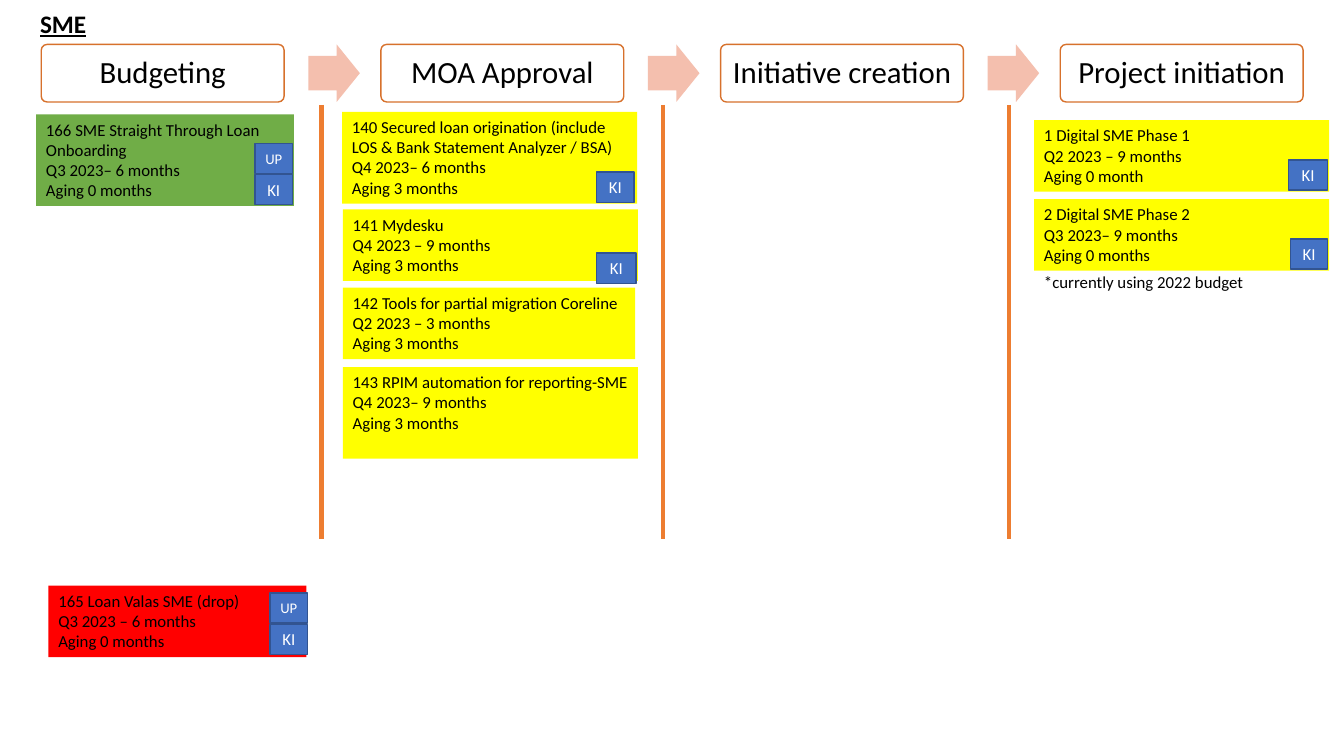
from dataclasses import dataclass
from lxml import etree
from pptx import Presentation
from pptx.dml.color import RGBColor
from pptx.enum.shapes import MSO_CONNECTOR, MSO_SHAPE
from pptx.enum.text import MSO_ANCHOR, MSO_AUTO_SIZE, PP_ALIGN
from pptx.oxml.ns import qn
from pptx.util import Cm, Pt

RECT = MSO_SHAPE.RECTANGLE
ROUND = MSO_SHAPE.ROUNDED_RECTANGLE
ARROW = MSO_SHAPE.RIGHT_ARROW
STRAIGHT = MSO_CONNECTOR.STRAIGHT
TOP, MIDDLE = MSO_ANCHOR.TOP, MSO_ANCHOR.MIDDLE
LEFT, CENTER = PP_ALIGN.LEFT, PP_ALIGN.CENTER
GROW = MSO_AUTO_SIZE.SHAPE_TO_FIT_TEXT


@dataclass(frozen=True)
class Theme:
    font: str = "Calibri"
    ink: str = "000000"
    paper: str = "FFFFFF"
    edge: str = "D7712C"
    arrow: str = "F4BFAE"
    rule: str = "ED7D31"
    badge: str = "4472C4"
    rim: str = "325491"
    drop: str = "FF0000"
    done: str = "70AD47"
    live: str = "FFFF00"
    stage: float = 22
    title: float = 18
    body: float = 12
    small: float = 10.5


def put(item, values):
    for name, value in values.items():
        setattr(item, name, value)


class Board:
    def __init__(self, slide, theme):
        self.slide = slide
        self.theme = theme

    def letter(self, shape, lines, size, color, frame, para=None, font=None):
        """Set the text of a shape, one paragraph a line."""
        text = shape.text_frame
        put(text, frame)
        text.text = "\n".join(lines)
        style = {"name": self.theme.font, "size": Pt(size)} | (font or {})
        for item in text.paragraphs:
            put(item, {"alignment": LEFT} | (para or {}))
            put(item.font, style)
            item.font.color.rgb = RGBColor.from_string(color)

    def shape(self, kind, box, fill, line=None):
        shape = self.slide.shapes.add_shape(kind, *map(Cm, box))
        shape.shadow.inherit = False
        shape.fill.solid()
        shape.fill.fore_color.rgb = RGBColor.from_string(fill)
        if line:
            shape.line.color.rgb = RGBColor.from_string(line)
            shape.line.width = Pt(1)
        else:
            shape.line.fill.background()
        return shape

    def stage(self, x, label):
        look = self.theme
        shape = self.shape(ROUND, (x, 1.12, 6.12, 1.45), look.paper, look.edge)
        shape.adjustments[0] = 0.1
        self.letter(shape, [label], look.stage, look.ink,
                    {"word_wrap": False, "vertical_anchor": MIDDLE},
                    {"alignment": CENTER, "line_spacing": 0.9})

    def arrow(self, x):
        shape = self.shape(ARROW, (x, 1.12, 1.3, 1.45), self.theme.arrow)
        shape.adjustments[0] = 0.6
        shape.adjustments[1] = 0.45

    def rule(self, x):
        line = self.slide.shapes.add_connector(
            STRAIGHT, Cm(x), Cm(2.64), Cm(x), Cm(13.59))
        line.line.color.rgb = RGBColor.from_string(self.theme.rule)
        line.line.width = Pt(3)
        etree.SubElement(line._element.spPr, qn("a:effectLst"))

    def card(self, box, fill, lines):
        self.letter(self.shape(RECT, box, fill), lines, self.theme.body,
                    self.theme.ink, {"word_wrap": True, "auto_size": GROW,
                                     "vertical_anchor": TOP})

    def badge(self, x, y, width, label):
        look = self.theme
        shape = self.shape(RECT, (x, y, width, 0.76), look.badge, look.rim)
        size = look.small if label == "UP" else look.body
        self.letter(shape, [label], size, look.paper,
                    {"word_wrap": False, "vertical_anchor": MIDDLE,
                     "margin_left": 0, "margin_right": 0},
                    {"alignment": CENTER})

    def note(self, box, label, size, font=None):
        shape = self.slide.shapes.add_textbox(*map(Cm, box))
        self.letter(shape, [label], size, self.theme.ink,
                    {"word_wrap": False, "auto_size": GROW}, font=font)


STAGES = ["Budgeting", "MOA Approval", "Initiative creation",
          "Project initiation"]
THEME = Theme()
TALL, SHORT = 2.31, 1.8
CARDS = [
    ((1.22, 14.76, 6.5, SHORT), THEME.drop,
     ["165 Loan Valas SME (drop)", "Q3 2023 – 6 months", "Aging 0 months"]),
    ((0.91, 2.88, 6.5, TALL), THEME.done,
     ["166 SME Straight Through Loan Onboarding", "Q3 2023– 6 months",
      "Aging 0 months"]),
    ((26.06, 3.03, 7.44, SHORT), THEME.live,
     ["1 Digital SME Phase 1", "Q2 2023 – 9 months", "Aging 0 month"]),
    ((26.06, 5.02, 7.44, SHORT), THEME.live,
     ["2 Digital SME Phase 2", "Q3 2023– 9 months", "Aging 0 months"]),
    ((8.64, 9.25, 7.44, TALL), THEME.live,
     ["143 RPIM automation for reporting-SME", "Q4 2023– 9 months",
      "Aging 3 months"]),
    ((8.64, 7.25, 7.37, SHORT), THEME.live,
     ["142 Tools for partial migration Coreline", "Q2 2023 – 3 months",
      "Aging 3 months"]),
    ((8.64, 5.28, 7.44, SHORT), THEME.live,
     ["141 Mydesku", "Q4 2023 – 9 months", "Aging 3 months"]),
    ((8.62, 2.82, 7.44, TALL), THEME.live,
     ["140 Secured loan origination (include LOS & Bank Statement "
      "Analyzer / BSA)", "Q4 2023– 6 months", "Aging 3 months"]),
]
BADGES = [
    (32.47, 4.03, 0.99, "KI"), (32.52, 6.02, 0.94, "KI"),
    (15.04, 6.38, 0.99, "KI"), (15.04, 4.34, 0.94, "KI"),
    (6.81, 15.73, 0.94, "KI"), (6.81, 14.94, 0.94, "UP"),
    (6.43, 4.4, 0.94, "KI"), (6.43, 3.61, 0.94, "UP"),
]


def main():
    deck = Presentation()
    deck.slide_width, deck.slide_height = Cm(33.87), Cm(19.05)
    board = Board(deck.slides.add_slide(deck.slide_layouts[6]), THEME)

    for index, label in enumerate(STAGES):
        x = 1.04 + index * 8.56
        if index:
            board.arrow(x - 1.83)
        board.stage(x, label)
    for x in (8.1, 16.71, 25.43):
        board.rule(x)
    for card in CARDS:
        board.card(*card)
    for badge in BADGES:
        board.badge(*badge)
    board.note((0.76, 0.08, 1.68, 1.02), "SME", THEME.title,
               {"bold": True, "underline": True})
    board.note((26.06, 6.72, 5.59, 0.76), "*currently using 2022 budget",
               THEME.body)
    deck.save("out.pptx")


if __name__ == "__main__":
    main()
